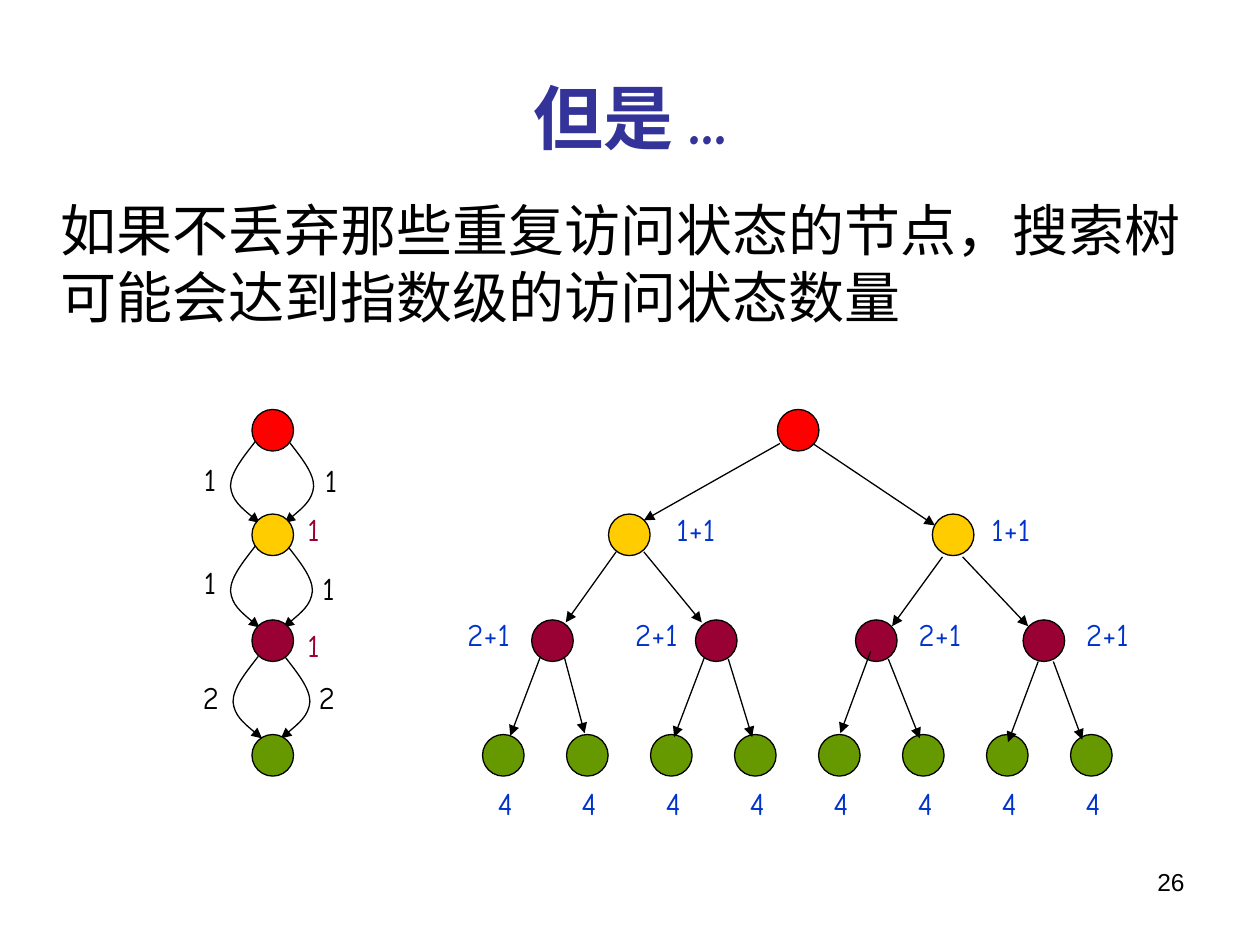
from lxml import etree
from pptx import Presentation
from pptx.dml.color import RGBColor
from pptx.enum import shapes, text
from pptx.oxml import ns
from pptx.util import Inches, Pt

BLACK = RGBColor(0x00, 0x00, 0x00)
NAVY = RGBColor(0x33, 0x33, 0x99)
BLUE = RGBColor(0x00, 0x33, 0xCC)
RED = RGBColor(0xFF, 0x00, 0x00)
GOLD = RGBColor(0xFF, 0xCC, 0x00)
WINE = RGBColor(0x99, 0x00, 0x33)
GREEN = RGBColor(0x66, 0x99, 0x00)

# Rows of nodes, top edge of each
TOPS = [3.25, 4.08, 4.92, 5.83]
HUES = [RED, GOLD, WINE, GREEN]


class Board:
    font = "Comic Neue"
    node_size = 0.33

    def __init__(self, slide):
        self.slide = slide
        self.shapes = slide.shapes

    def style(self, para, size, color, font=None, bold=False):
        for run in para.runs:
            run.font.size = Pt(size)
            run.font.name = font or self.font
            run.font.color.rgb = color
            run.font.bold = bold

    def title(self, words, left, top, width, height):
        box = self.shapes.title
        box.left, box.top = Inches(left), Inches(top)
        box.width, box.height = Inches(width), Inches(height)
        frame = box.text_frame
        frame.text = words
        frame.vertical_anchor = text.MSO_ANCHOR.MIDDLE
        para = frame.paragraphs[0]
        para.alignment = text.PP_ALIGN.CENTER
        self.style(para, 40, NAVY, bold=True)

    def words(self, words, left, top, width, height, size, color,
              font=None, wrap=True, align=text.PP_ALIGN.LEFT):
        box = self.shapes.add_textbox(
            Inches(left), Inches(top), Inches(width), Inches(height))
        frame = box.text_frame
        frame.word_wrap = wrap
        frame.text = words
        para = frame.paragraphs[0]
        para.alignment = align
        self.style(para, size, color, font)
        return para

    def label(self, words, left, top, color=BLUE):
        width = 0.32 if len(words) == 1 else 0.54
        self.words(words, left, top, width, 0.4, 18, color, wrap=False)

    def node(self, left, row):
        dot = self.shapes.add_shape(
            shapes.MSO_SHAPE.OVAL, Inches(left), Inches(TOPS[row]),
            Inches(self.node_size), Inches(self.node_size))
        dot.shadow.inherit = False
        dot.fill.solid()
        dot.fill.fore_color.rgb = HUES[row]
        self.stroke(dot)

    def stroke(self, shape, head=False):
        shape.line.color.rgb = BLACK
        shape.line.width = Pt(0.75)
        if head:
            line = shape.line._get_or_add_ln()
            etree.SubElement(line, ns.qn("a:tailEnd"), type="triangle")

    def arrow(self, x1, y1, x2, y2):
        line = self.shapes.add_connector(
            shapes.MSO_CONNECTOR.STRAIGHT,
            Inches(x1), Inches(y1), Inches(x2), Inches(y2))
        self.stroke(line, head=True)
        etree.SubElement(line._element.spPr, ns.qn("a:effectLst"))

    def curve(self, points):
        spots = [(Inches(x), Inches(y)) for x, y in points]
        pen = self.shapes.build_freeform(*spots[0])
        pen.add_line_segments(spots[1:], close=False)
        shape = pen.convert_to_shape()
        shape.shadow.inherit = False
        shape.fill.background()
        self.stroke(shape, head=True)
        # Turn each three straight steps into one Bezier step
        steps = list(shape._element.iter(ns.qn("a:lnTo")))
        for i in range(0, len(steps), 3):
            bend = etree.Element(ns.qn("a:cubicBezTo"))
            steps[i].addprevious(bend)
            for step in steps[i:i + 3]:
                bend.append(step[0])
                step.getparent().remove(step)


def draw_chain(board):
    # State graph: two curved edges between each pair of nodes
    bend = [(0, 0), (-0.1, 0.13), (-0.2, 0.25), (-0.2, 0.36),
            (-0.19, 0.47), (-0.08, 0.56), (0.03, 0.65)]
    starts = [(2.03, 2.29, 3.5), (2.03, 2.28, 4.33), (2.05, 2.26, 5.21)]
    for left, right, top in starts:
        board.curve([(left + x, top + y) for x, y in bend])
        board.curve([(right - x, top + y) for x, y in bend])
    for row in range(len(TOPS)):
        board.node(2, row)

    # Edge and node counts
    for words, left, top in [("1", 1.52, 3.6), ("1", 2.48, 3.61),
                             ("1", 1.52, 4.42), ("1", 2.46, 4.47),
                             ("2", 1.51, 5.33), ("2", 2.43, 5.33)]:
        board.label(words, left, top, BLACK)
    for top in (4, 4.92):
        board.label("1", 2.34, top, WINE)


def draw_tree(board):
    # Search tree: left edges of the nodes, row by row
    leaves = [3.83 + i * 2 / 3 for i in range(8)]
    rows = [[6.17], [4.83, 7.4], [4.22, 5.52, 6.79, 8.12], leaves]
    for row, lefts in enumerate(rows):
        for left in lefts:
            board.node(left, row)

    # Edges, from parent to child
    edges = [
        (6.19, 3.52, 5.11, 4.13), (6.45, 3.52, 7.42, 4.17),
        (4.89, 4.38, 4.49, 4.94), (5.11, 4.38, 5.57, 4.94),
        (7.48, 4.42, 7.08, 4.97), (7.64, 4.42, 8.16, 4.97),
        (4.29, 5.21, 4.05, 5.84), (4.48, 5.22, 4.64, 5.82),
        (5.59, 5.22, 5.35, 5.85), (5.78, 5.23, 5.97, 5.85),
        (6.91, 5.17, 6.67, 5.82), (7.05, 5.23, 7.3, 5.86),
        (8.24, 5.25, 8, 5.89), (8.36, 5.25, 8.59, 5.87)]
    for edge in edges:
        board.arrow(*edge)

    # Visit counts
    for left in (5.27, 7.77):
        board.label("1+1", left, 4)
    for left in (3.61, 4.94, 7.19, 8.52):
        board.label("2+1", left, 4.83)
    for left in leaves:
        board.label("4", left + 0.02, 6.17)


def main():
    deck = Presentation()
    deck.slide_width, deck.slide_height = Inches(10), Inches(7.5)
    board = Board(deck.slides.add_slide(deck.slide_layouts[5]))

    # Title, statement and page number
    board.title("但是 ...", 0.5, 0.3, 9, 1.25)
    para = board.words("如果不丢弃那些重复访问状态的节点，搜索树可能会达到指数级的访问状态数量",
                       0, 1.5, 9.67, 4.95, 32, BLACK)
    para._p.get_or_add_pPr().set("marL", str(Inches(0.38)))
    board.words("26", 7.17, 6.83, 2.33, 0.52, 14, BLACK,
                font="Arial", align=text.PP_ALIGN.RIGHT)

    draw_chain(board)
    draw_tree(board)
    deck.save("out.pptx")


if __name__ == "__main__":
    main()
